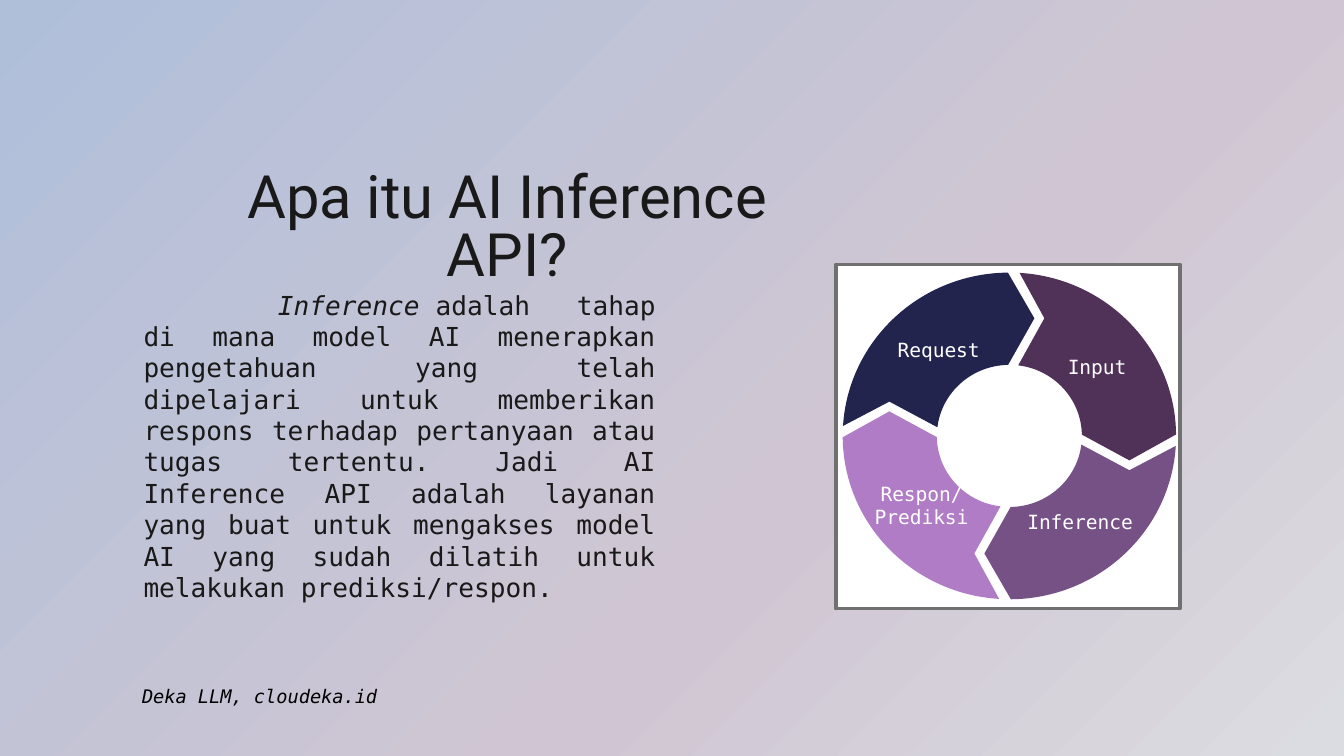
import copy
import math

import lxml.etree
import pptx
import pptx.dml.color
import pptx.enum.shapes
import pptx.enum.text
import pptx.oxml.ns
import pptx.util

Pt = pptx.util.Pt
RGBColor = pptx.dml.color.RGBColor
ALIGN = pptx.enum.text.PP_ALIGN
ANCHOR = pptx.enum.text.MSO_ANCHOR
AUTO_SIZE = pptx.enum.text.MSO_AUTO_SIZE
qn = pptx.oxml.ns.qn

HEADING_FONT = "Roboto"
MONO_FONT = "DejaVu Sans Mono"
NO_BREAK_SPACE = chr(160)
INK = RGBColor(0x19, 0x19, 0x19)
BLACK = RGBColor(0, 0, 0)
WHITE = RGBColor(0xFF, 0xFF, 0xFF)
PANEL_EDGE = RGBColor(0x70, 0x70, 0x70)
BACKGROUND_STOPS = [
    (0, RGBColor(0xAF, 0xBF, 0xDA)),
    (0.62, RGBColor(0xD0, 0xC6, 0xD3)),
    (1, RGBColor(0xDB, 0xDC, 0xE1)),
]
# Clockwise from the top left
CYCLE_STEPS = [
    ("Request", RGBColor(0x22, 0x24, 0x4E)),
    ("Input", RGBColor(0x50, 0x32, 0x59)),
    ("Inference", RGBColor(0x76, 0x51, 0x86)),
    ("Respon/\nPrediksi", RGBColor(0xB0, 0x7C, 0xC6)),
]
DEFINITION = (
    "adalah tahap di mana model AI menerapkan pengetahuan yang telah "
    "dipelajari untuk memberikan respons terhadap pertanyaan atau tugas "
    "tertentu. Jadi AI Inference API adalah layanan yang buat untuk "
    "mengakses model AI yang sudah dilatih untuk melakukan prediksi/respon."
)


def style(font, name, size, color, italic=False):
    font.name = name
    font.size = Pt(size)
    font.color.rgb = color
    font.italic = italic


def set_frame(frame, anchor=ANCHOR.TOP):
    """Wrap the text and give it equal insets."""
    frame.word_wrap = True
    frame.auto_size = AUTO_SIZE.NONE
    frame.vertical_anchor = anchor
    frame.margin_left = frame.margin_right = Pt(7.2)
    frame.margin_top = frame.margin_bottom = Pt(7.2)


def paint_background(slide):
    fill = slide.background.fill
    fill.gradient()
    fill.gradient_angle = 315
    stop_list = slide.element.find(".//" + qn("a:gsLst"))
    stop_list.append(copy.deepcopy(stop_list[-1]))
    for stop, (position, color) in zip(fill.gradient_stops, BACKGROUND_STOPS):
        stop.position = position
        stop.color.rgb = color


def place_title(slide, left, top, width, height):
    title = slide.shapes.title
    title.left, title.top = Pt(left), Pt(top)
    title.width, title.height = Pt(width), Pt(height)
    set_frame(title.text_frame)
    title.text_frame.text = "Apa itu AI Inference API?"
    paragraph = title.text_frame.paragraphs[0]
    paragraph.alignment = ALIGN.CENTER
    paragraph.line_spacing = 0.8
    style(paragraph.runs[0].font, HEADING_FONT, 32, INK)


def place_definition(slide, left, top, width, height):
    definition = slide.shapes.add_textbox(Pt(left), Pt(top), Pt(width), Pt(height))
    set_frame(definition.text_frame)
    paragraph = definition.text_frame.paragraphs[0]
    paragraph.alignment = ALIGN.JUSTIFY
    tabs = lxml.etree.SubElement(paragraph._p.get_or_add_pPr(), qn("a:tabLst"))
    lxml.etree.SubElement(tabs, qn("a:tab"), pos=str(Pt(72)), algn="l")
    term = "\tInference" + NO_BREAK_SPACE
    for text, italic in [(term, True), (DEFINITION, False)]:
        run = paragraph.add_run()
        run.text = text
        style(run.font, MONO_FONT, 14, INK, italic)


def arc(radius, start, end):
    """The four Bezier points of an arc about the origin, angles in degrees."""
    start, end = math.radians(start), math.radians(end)
    handle = 4 / 3 * math.tan((end - start) / 4)

    def point(angle, reach):
        return (
            radius * (math.cos(angle) - reach * math.sin(angle)),
            radius * (math.sin(angle) + reach * math.cos(angle)),
        )

    return [point(start, 0), point(start, handle), point(end, -handle), point(end, 0)]


def curve_lines(freeform, first_lines):
    """Merge the three lines from each given index into one Bezier curve."""
    lines = list(freeform.element.iter(qn("a:lnTo")))
    for first in first_lines:
        curve = lines[first]
        for line in lines[first + 1:first + 3]:
            curve.append(line[0])
            line.getparent().remove(line)
        curve.tag = qn("a:cubicBezTo")


def place_cycle(slide, left, top, size):
    """Four arrow-shaped ring segments, each a quarter turn from the last."""
    panel = slide.shapes.add_shape(
        pptx.enum.shapes.MSO_SHAPE.RECTANGLE, Pt(left), Pt(top), Pt(size), Pt(size)
    )
    panel.shadow.inherit = False
    panel.fill.solid()
    panel.fill.fore_color.rgb = WHITE
    panel.line.color.rgb = PANEL_EDGE
    panel.line.width = Pt(2)

    center_x, center_y = left + size / 2 + 0.8, top + size / 2 - 0.4
    radius_x, radius_y = 89.3, 87.5
    outline = (
        arc(1, 269.5, 183.5) + [(-0.72, -0.21)]
        + arc(0.435, 187, 269) + [(0.15, -0.72)]
    )
    for label, color in CYCLE_STEPS:
        points = [
            (Pt(center_x + radius_x * x), Pt(center_y + radius_y * y))
            for x, y in outline
        ]
        builder = slide.shapes.build_freeform(*points[0])
        builder.add_line_segments(points[1:], close=True)
        segment = builder.convert_to_shape()
        curve_lines(segment, (0, 5))
        segment.shadow.inherit = False
        segment.fill.solid()
        segment.fill.fore_color.rgb = color
        segment.line.fill.background()
        set_frame(segment.text_frame, ANCHOR.MIDDLE)
        segment.text_frame.text = label
        for paragraph in segment.text_frame.paragraphs:
            paragraph.alignment = ALIGN.CENTER
            style(paragraph.runs[0].font, MONO_FONT, 10.5, WHITE)
        outline = [(-y, x) for x, y in outline]


def place_source(slide, left, top, width, height):
    source = slide.shapes.add_textbox(Pt(left), Pt(top), Pt(width), Pt(height))
    frame = source.text_frame
    frame.word_wrap = False
    frame.auto_size = AUTO_SIZE.SHAPE_TO_FIT_TEXT
    frame.text = "Deka LLM, cloudeka.id"
    style(frame.paragraphs[0].runs[0].font, MONO_FONT, 10, BLACK, italic=True)


def main():
    deck = pptx.Presentation()
    deck.slide_width, deck.slide_height = Pt(720), Pt(405)
    slide = deck.slides.add_slide(deck.slide_layouts.get_by_name("Title Only"))
    paint_background(slide)
    place_title(slide, 92.9, 85.4, 357.8, 33.8)
    place_definition(slide, 69.8, 147.6, 288.7, 115.2)
    place_cycle(slide, 447.8, 141.8, 184.3)
    place_source(slide, 69, 363.2, 144.7, 20.2)
    deck.save("out.pptx")


if __name__ == "__main__":
    main()
